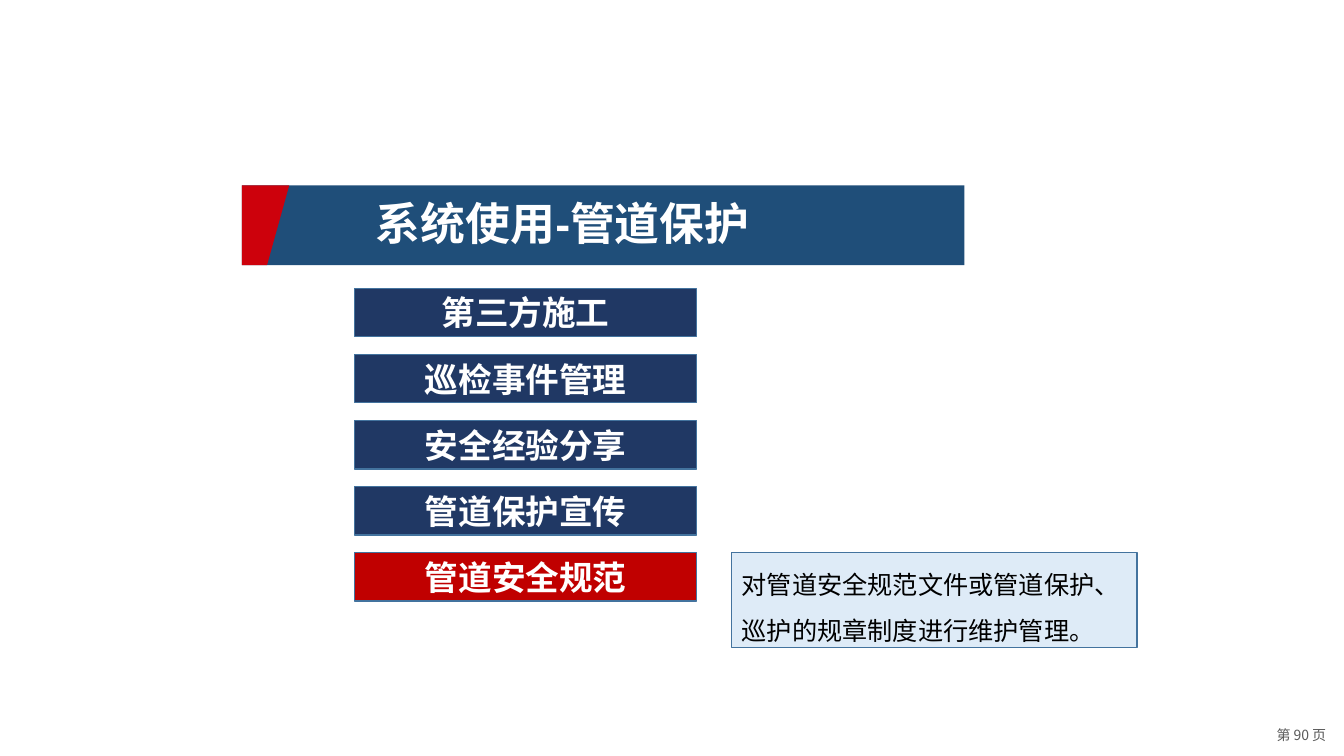
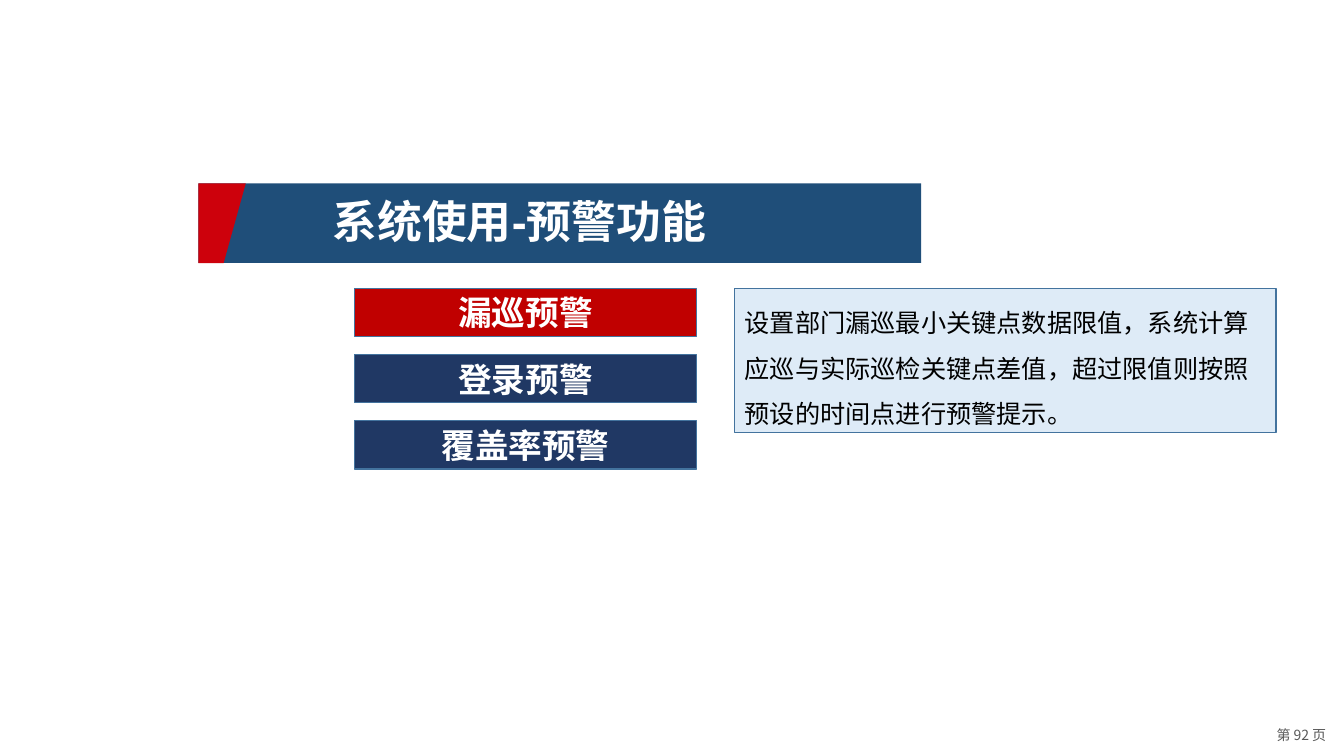
from dataclasses import dataclass

from pptx import Presentation
from pptx.dml.color import RGBColor
from pptx.enum import shapes, text
from pptx.util import Pt


@dataclass(frozen=True)
class Theme:
    band: str = "1F4E79"
    wedge: str = "CD010C"
    button: str = "203864"
    active: str = "C00000"
    note: str = "DEEBF7"
    border: str = "43739E"
    light: str = "FFFFFF"
    dark: str = "000000"
    muted: str = "595959"
    font: str = "Arial"
    footer_font: str = "Noto Sans CJK SC"
    title_size: int = 32
    button_size: int = 24
    note_size: int = 18
    footer_size: int = 10


THEME = Theme()

SLIDES = [
    {
        "page": "第 90 页",
        "title": "系统使用-管道保护",
        "banner": (172.8, 132.5),
        "buttons": ["第三方施工", "巡检事件管理", "安全经验分享", "管道保护宣传", "管道安全规范"],
        "active": 4,
        "note": "对管道安全规范文件或管道保护、巡护的规章制度进行维护管理。",
        "note_box": (522.7, 289.4, 67.7),
    },
    {
        "page": "第 92 页",
        "title": "系统使用-预警功能",
        "banner": (141.8, 131),
        "buttons": ["漏巡预警", "登录预警", "覆盖率预警"],
        "active": 0,
        "note": "设置部门漏巡最小关键点数据限值，系统计算应巡与实际巡检关键点差值，超过限值则按照预设的时间点进行预警提示。",
        "note_box": (524.9, 386.6, 103),
    },
]

BANNER_WIDTH, BANNER_HEIGHT = 516.2, 56.9
WEDGE_TOP, WEDGE_BOTTOM = 33.8, 18
BUTTON_LEFT, BUTTON_TOP = 253.4, 205.9
BUTTON_WIDTH, BUTTON_HEIGHT, BUTTON_PITCH = 244.1, 34.6, 47.2
FOOTER = (898.6, 515.5, 61.9, 19.4)


def paint(shape, fill, border=None):
    shape.shadow.inherit = False
    shape.fill.solid()
    shape.fill.fore_color.rgb = RGBColor.from_string(fill)
    if border:
        shape.line.color.rgb = RGBColor.from_string(border)
        shape.line.width = Pt(1)
    else:
        shape.line.fill.background()


def add_rect(page, area, fill, border=None):
    box = page.shapes.add_shape(shapes.MSO_SHAPE.RECTANGLE, *map(Pt, area))
    paint(box, fill, border)
    return box


def write(box, words, size, color, centred=False, bold=False, font=THEME.font,
          anchor=text.MSO_ANCHOR.MIDDLE, spacing=None):
    frame = box.text_frame
    frame.word_wrap = True
    frame.vertical_anchor = anchor
    para = frame.paragraphs[0]
    para.text = words
    para.alignment = text.PP_ALIGN.CENTER if centred else text.PP_ALIGN.LEFT
    if spacing:
        para.line_spacing = spacing
    para.font.name = font
    para.font.size = Pt(size)
    para.font.bold = bold
    para.font.color.rgb = RGBColor.from_string(color)


def add_footer(page, words):
    box = page.shapes.add_textbox(*map(Pt, FOOTER))
    write(box, words, THEME.footer_size, THEME.muted, centred=True,
          font=THEME.footer_font, anchor=text.MSO_ANCHOR.TOP)


def add_banner(page, left, top, title):
    add_rect(page, (left, top, BANNER_WIDTH, BANNER_HEIGHT), THEME.band)
    bottom = top + BANNER_HEIGHT
    outline = page.shapes.build_freeform(Pt(left), Pt(top))
    corners = [(left + WEDGE_TOP, top), (left + WEDGE_BOTTOM, bottom), (left, bottom)]
    outline.add_line_segments([(Pt(x), Pt(y)) for x, y in corners], close=True)
    paint(outline.convert_to_shape(), THEME.wedge)
    box = page.shapes.add_textbox(Pt(left + 88.6), Pt(top + 3.6), Pt(427), Pt(46.1))
    write(box, title, THEME.title_size, THEME.light, bold=True)


def add_buttons(page, labels, active):
    for row, label in enumerate(labels):
        area = (BUTTON_LEFT, BUTTON_TOP + row * BUTTON_PITCH, BUTTON_WIDTH, BUTTON_HEIGHT)
        fill = THEME.active if row == active else THEME.button
        box = add_rect(page, area, fill, THEME.border)
        write(box, label, THEME.button_size, THEME.light, centred=True, bold=True)


def add_note(page, words, row, left, width, height):
    area = (left, BUTTON_TOP + row * BUTTON_PITCH, width, height)
    box = add_rect(page, area, THEME.note, THEME.border)
    write(box, words, THEME.note_size, THEME.dark, spacing=1.5)


def main():
    deck = Presentation()
    deck.slide_width, deck.slide_height = Pt(960), Pt(540)
    for content in SLIDES:
        page = deck.slides.add_slide(deck.slide_layouts[6])
        add_footer(page, content["page"])
        add_banner(page, *content["banner"], content["title"])
        add_buttons(page, content["buttons"], content["active"])
        add_note(page, content["note"], content["active"], *content["note_box"])
    deck.save("out.pptx")


if __name__ == "__main__":
    main()
